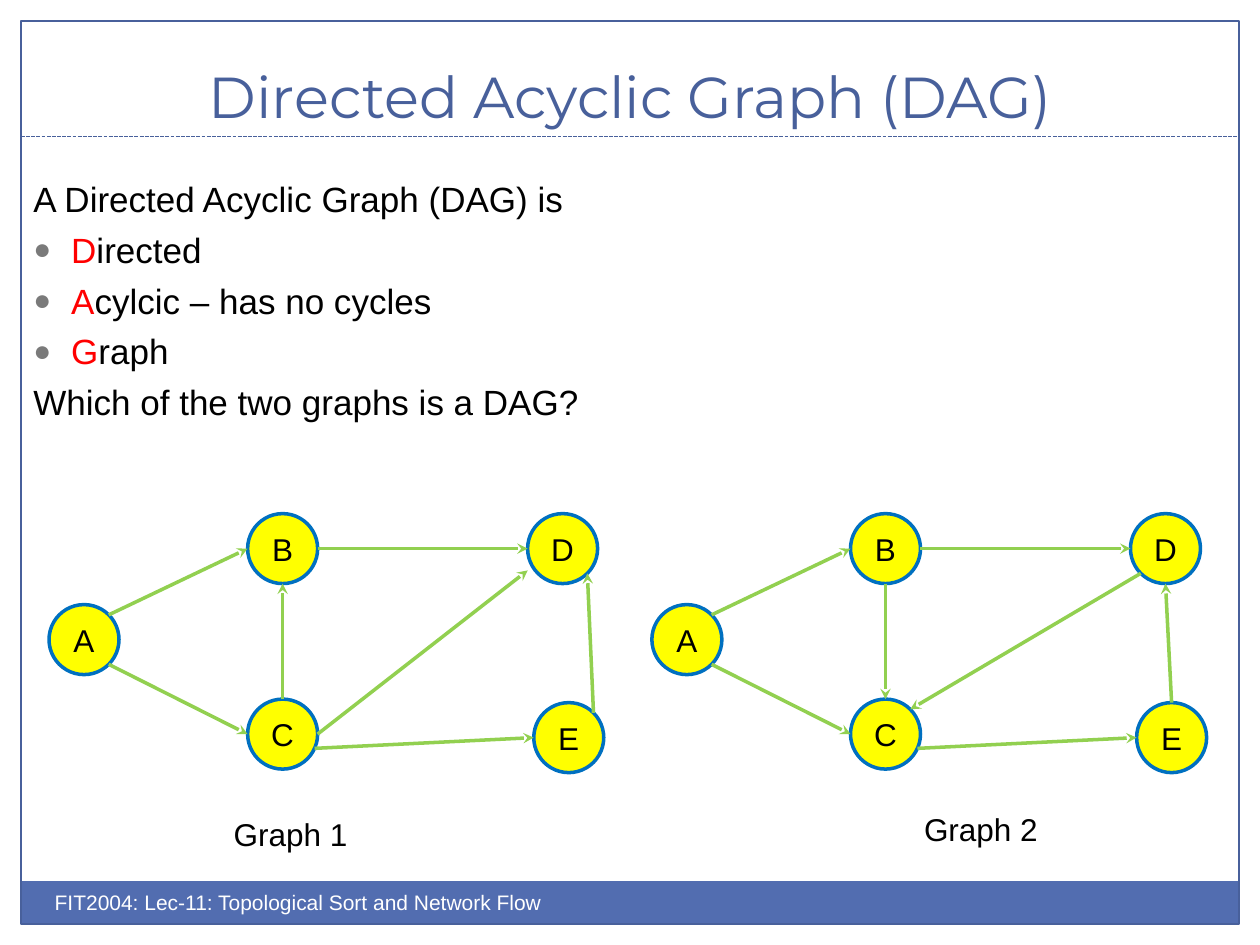
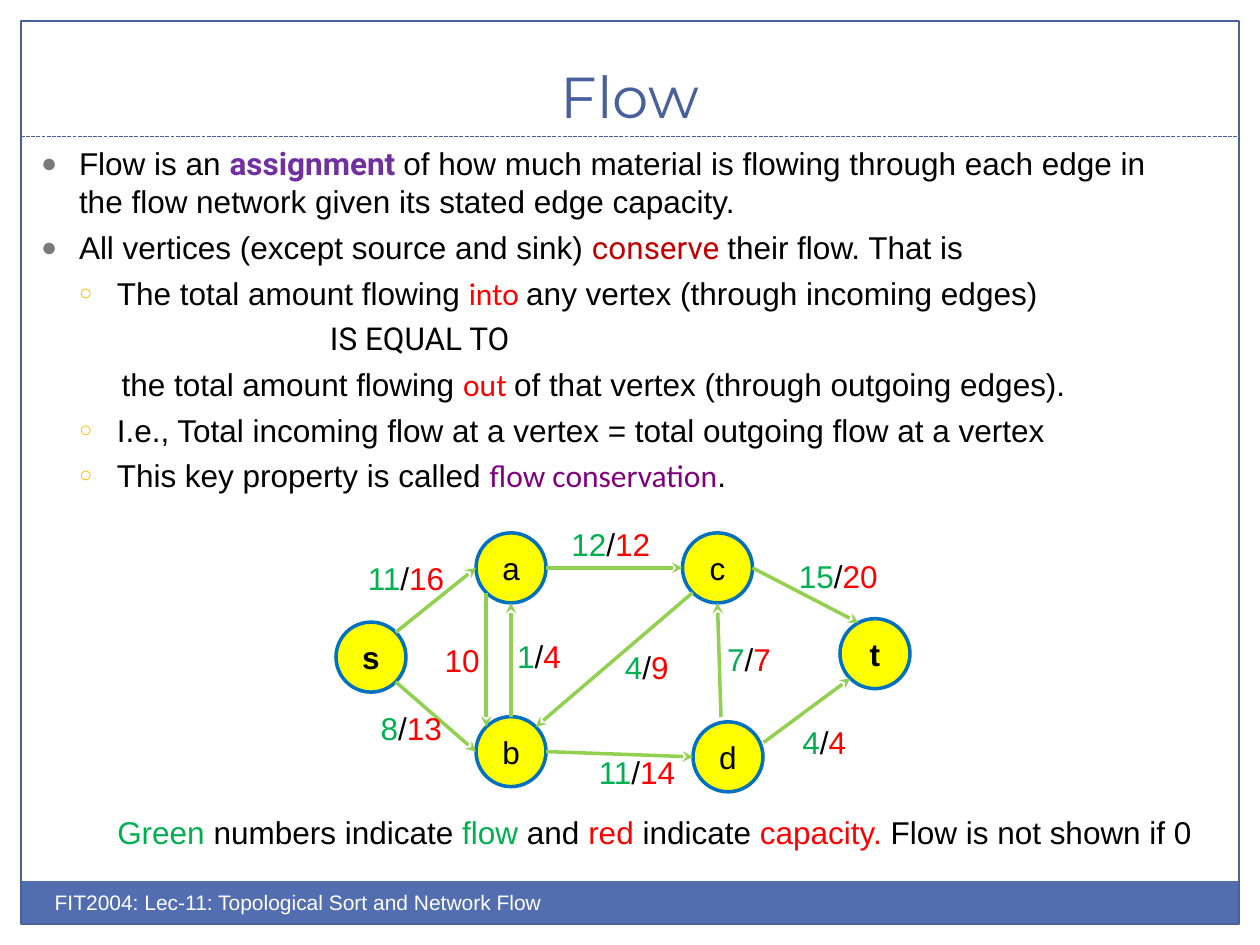
from math import cos, radians, sin

from lxml.etree import SubElement
from pptx import Presentation
from pptx.dml.color import RGBColor
from pptx.enum.dml import MSO_LINE
from pptx.enum.shapes import MSO_CONNECTOR, MSO_SHAPE as SHAPE
from pptx.enum.text import MSO_ANCHOR as ANCHOR, MSO_AUTO_SIZE, PP_ALIGN as ALIGN
from pptx.oxml.ns import qn
from pptx.util import Pt

COLORS = {
    "frame": "48609B", "band": "526DB0", "white": "FFFFFF", "black": "000000",
    "node": "FFFF00", "ring": "0070C0", "edge": "92D050",
    "flow": "00B050", "capacity": "FF0000", "red": "FF0000",
    "dark red": "C00000", "purple": "7030A0", "violet": "800080",
    "bullet": "7A7A7A", "sub bullet": "F5C201",
}
FONT = "Arial"
FOOTER = "FIT2004: Lec-11: Topological Sort and Network Flow"
RADIUS = 20
INDENT = 21.6
BULLETS = {
    "main": ("●", "bullet", 85, INDENT),
    "sub": ("○", "sub bullet", 70, 2 * INDENT),
}


def color(name):
    return RGBColor.from_string(COLORS[name])


def style_run(run, size, color_name="black", font=FONT, bold=False):
    run.font.size = Pt(size)
    run.font.name = font
    run.font.bold = bold
    run.font.color.rgb = color(color_name)


def write_runs(paragraph, runs, size):
    for text, *style in runs:
        run = paragraph.add_run()
        run.text = text
        style_run(run, size, *style)


def add_preset(shapes, kind, left, top, width, height, fill=None, line=None, weight=0.75):
    shape = shapes.add_shape(kind, Pt(left), Pt(top), Pt(width), Pt(height))
    shape.shadow.inherit = False
    if fill:
        shape.fill.solid()
        shape.fill.fore_color.rgb = color(fill)
    else:
        shape.fill.background()
    if line:
        shape.line.color.rgb = color(line)
        shape.line.width = Pt(weight)
    else:
        shape.line.fill.background()
    return shape


def add_line(shapes, start, end, color_name, weight):
    connector = shapes.add_connector(
        MSO_CONNECTOR.STRAIGHT, *(Pt(value) for value in (*start, *end)))
    connector.line.color.rgb = color(color_name)
    connector.line.width = Pt(weight)
    SubElement(connector._element.spPr, qn("a:effectLst"))
    return connector


def add_titled_slide(presentation, title_text):
    slide = presentation.slides.add_slide(presentation.slide_layouts[5])
    band = add_preset(slide.shapes, SHAPE.RECTANGLE, 11.75, 503.5, 696, 24.5, fill="band")
    frame = band.text_frame
    frame.text = FOOTER
    frame.margin_left = Pt(19.5)
    frame.vertical_anchor = ANCHOR.MIDDLE
    frame.paragraphs[0].alignment = ALIGN.LEFT
    style_run(frame.paragraphs[0].runs[0], 12, "white")
    add_preset(slide.shapes, SHAPE.RECTANGLE, 12, 12, 696, 516, line="frame")
    rule = add_line(slide.shapes, (12, 78), (708, 78), "frame", 0.75)
    rule.line.dash_style = MSO_LINE.SQUARE_DOT

    title = slide.shapes.title
    title.left, title.top, title.width, title.height = Pt(24), Pt(18), Pt(672), Pt(60)
    title.text_frame.text = title_text
    title.text_frame.auto_size = MSO_AUTO_SIZE.NONE
    title.text_frame.vertical_anchor = ANCHOR.BOTTOM
    title.text_frame.paragraphs[0].alignment = ALIGN.CENTER
    style_run(title.text_frame.paragraphs[0].runs[0], 33, "frame", "Montserrat")
    return slide


def format_bullet(paragraph, bullet):
    character, color_name, percent, margin = BULLETS[bullet]
    properties = paragraph._p.get_or_add_pPr()
    properties.set("marL", str(Pt(margin)))
    properties.set("indent", str(-Pt(INDENT)))
    bullet_color = SubElement(properties, qn("a:buClr"))
    SubElement(bullet_color, qn("a:srgbClr"), val=COLORS[color_name])
    SubElement(properties, qn("a:buSzPct"), val=str(percent * 1000))
    SubElement(properties, qn("a:buFont"), typeface=FONT)
    SubElement(properties, qn("a:buChar"), char=character)


def add_body(slide, left, top, width, height, size, lines):
    box = slide.shapes.add_textbox(Pt(left), Pt(top), Pt(width), Pt(height))
    frame = box.text_frame
    frame.word_wrap = True
    for index, (layout, *runs) in enumerate(lines):
        paragraph = frame.add_paragraph() if index else frame.paragraphs[0]
        if layout in BULLETS:
            format_bullet(paragraph, layout)
        else:
            paragraph._p.get_or_add_pPr().set("marL", str(Pt(layout)))
        if index:
            paragraph.space_before = Pt(size / 4)
        write_runs(paragraph, runs, size)


def add_label(slide, center_x, center_y, runs, width=90):
    box = slide.shapes.add_textbox(
        Pt(center_x - width / 2), Pt(center_y - 14.5), Pt(width), Pt(29))
    box.text_frame.word_wrap = False
    paragraph = box.text_frame.paragraphs[0]
    paragraph.alignment = ALIGN.CENTER
    write_runs(paragraph, runs, 18)


def add_edge_value(slide, center_x, center_y, capacity, flow=None):
    runs = [(capacity, "capacity")]
    if flow:
        runs = [(flow, "flow"), ("/",)] + runs
    add_label(slide, center_x, center_y, runs)


def add_node(shapes, name, center, bold):
    left, top = (value - RADIUS for value in center)
    node = add_preset(shapes, SHAPE.OVAL, left, top, 2 * RADIUS, 2 * RADIUS,
                      fill="node", line="ring", weight=2)
    frame = node.text_frame
    frame.margin_left = frame.margin_right = frame.margin_top = frame.margin_bottom = 0
    frame.word_wrap = False
    frame.vertical_anchor = ANCHOR.MIDDLE
    frame.text = name
    frame.paragraphs[0].alignment = ALIGN.CENTER
    style_run(frame.paragraphs[0].runs[0], 18, bold=bold)


def rim_point(center, angle, gap):
    x, y = center
    reach = RADIUS + gap
    return x + reach * cos(radians(angle)), y + reach * sin(radians(angle))


def add_edge(shapes, nodes, source, leave, target, arrive, start_gap=0, end_gap=0):
    start = rim_point(nodes[source], leave, start_gap)
    end = rim_point(nodes[target], arrive, end_gap)
    arrow = add_line(shapes, start, end, "edge", 2)
    SubElement(arrow.line._get_or_add_ln(), qn("a:tailEnd"), type="stealth")


def add_graph(shapes, nodes, edges, bold_nodes=""):
    for name, center in nodes.items():
        add_node(shapes, name, center, name in bold_nodes)
    for edge in edges:
        add_edge(shapes, nodes, *edge)


def build_dag_slide(presentation):
    slide = add_titled_slide(presentation, "Directed Acyclic Graph (DAG)")
    add_body(slide, 12, 98, 690, 160, 20, [
        (0, ("A Directed Acyclic Graph (DAG) is",)),
        ("main", ("D", "red"), ("irected",)),
        ("main", ("A", "red"), ("cylcic – has no cycles",)),
        ("main", ("G", "red"), ("raph",)),
        (0, ("Which of the two graphs is a DAG?",)),
    ])
    nodes = {"A": (48, 365.5), "B": (161.5, 313.5), "C": (161.5, 419.5),
             "D": (321.5, 313.5), "E": (325, 421.5)}
    shared_edges = [("A", -45, "B", 180), ("A", 45, "C", 180),
                    ("B", 0, "D", 180), ("C", 24, "E", 180)]
    graph_edges = [
        [("E", -45, "D", 45), ("C", 0, "D", 148, 0, 3.5), ("C", -90, "B", 90)],
        [("E", -90, "D", 90), ("D", 135, "C", -45), ("B", 90, "C", -90)],
    ]
    for index, own_edges in enumerate(graph_edges):
        shifted = {name: (x + 344.5 * index, y) for name, (x, y) in nodes.items()}
        group = slide.shapes.add_group_shape()
        add_graph(group.shapes, shifted, shared_edges + own_edges)
    add_label(slide, 166, 476.5, [("Graph 1",)])
    add_label(slide, 560.5, 474, [("Graph 2",)])


def build_flow_slide(presentation):
    slide = add_titled_slide(presentation, "Flow")
    add_body(slide, 16.5, 79, 670, 205, 18, [
        ("main", ("Flow is an ",), ("assignment ", "purple", "Roboto", True),
         ("of how much material is flowing through each edge in the flow network "
          "given its stated edge capacity.",)),
        ("main", ("All vertices (except source and sink) ",),
         ("conserve ", "dark red", "Roboto"), ("their flow. That is",)),
        ("sub", ("The total amount flowing ",), ("into ", "red", "Calibri"),
         ("any vertex (through incoming edges)",)),
        (165, ("IS EQUAL TO", "black", "Roboto")),
        (46, ("the total amount flowing ",), ("out ", "red", "Calibri"),
         ("of that vertex (through outgoing edges).",)),
        ("sub", ("I.e., Total incoming flow at a vertex = total outgoing flow at a vertex",)),
        ("sub", ("This key property is called ",),
         ("flow conservation", "violet", "Calibri"), (".",)),
    ])
    nodes = {"s": (212, 375.5), "a": (292, 324.5), "b": (292, 429.5),
             "c": (410, 324.5), "d": (416, 432.5), "t": (500, 373.5)}
    edges = [
        ("s", -45, "a", 180), ("s", 45, "b", 180), ("a", 135, "b", -135),
        ("a", 0, "c", 180), ("c", 0, "t", -118), ("d", -100, "c", 90, 3),
        ("c", 135, "b", -45), ("b", -90, "a", 90), ("b", 0, "d", 180),
        ("d", -22, "t", 135, 2),
    ]
    add_graph(slide.shapes, nodes, edges, bold_nodes="st")
    edge_values = [
        (232, 330.5, "16", "11"), (235, 416, "13", "8"), (264, 377.5, "10"),
        (308, 375, "4", "1"), (369.5, 381.5, "9", "4"), (364, 441.5, "14", "11"),
        (479, 329, "20", "15"), (428, 376.5, "7", "7"), (349, 311, "12", "12"),
        (471, 424, "4", "4"),
    ]
    for value in edge_values:
        add_edge_value(slide, *value)
    add_label(slide, 374, 475.5, [
        ("Green", "flow"), (" numbers indicate ",), ("flow", "flow"), (" and ",),
        ("red", "capacity"), (" indicate ",), ("capacity. ", "capacity"),
        ("Flow is not shown if 0",),
    ], width=633)


def main():
    presentation = Presentation()
    presentation.slide_width, presentation.slide_height = Pt(720), Pt(540)
    build_dag_slide(presentation)
    build_flow_slide(presentation)
    presentation.save("out.pptx")


if __name__ == "__main__":
    main()
